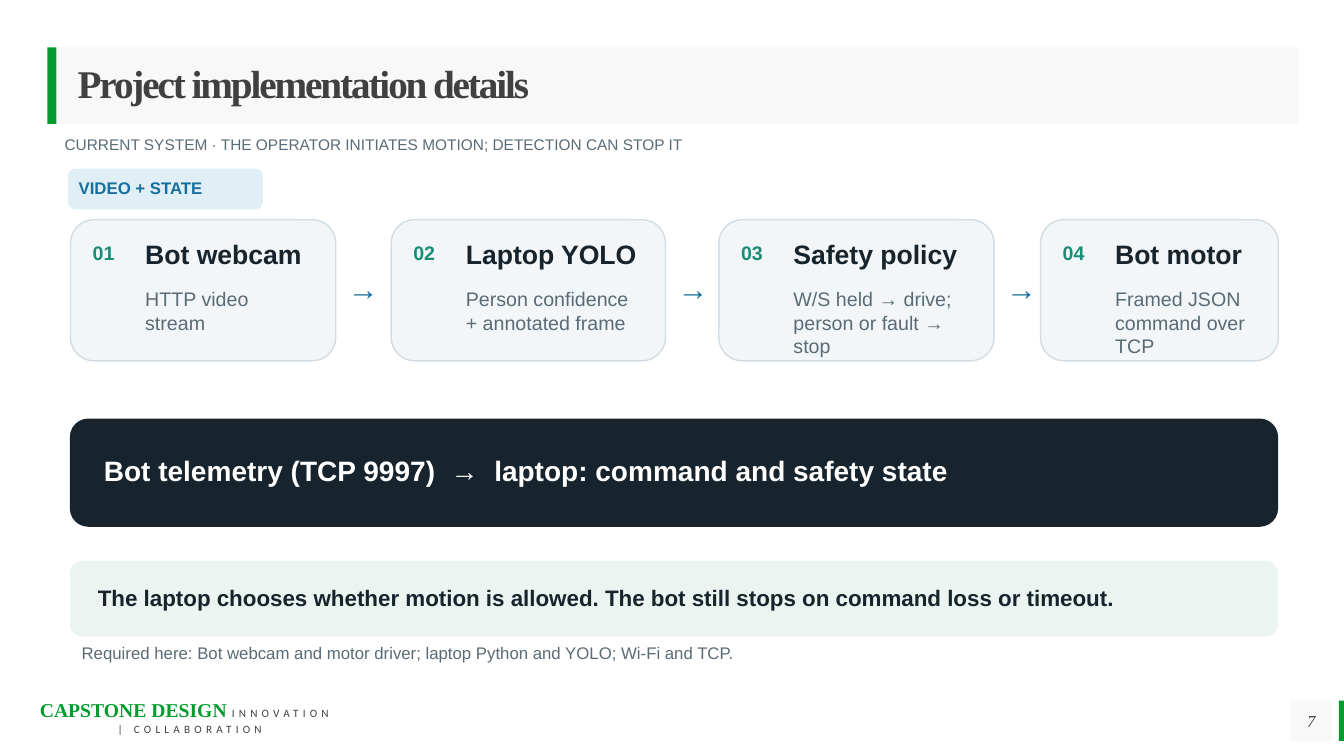
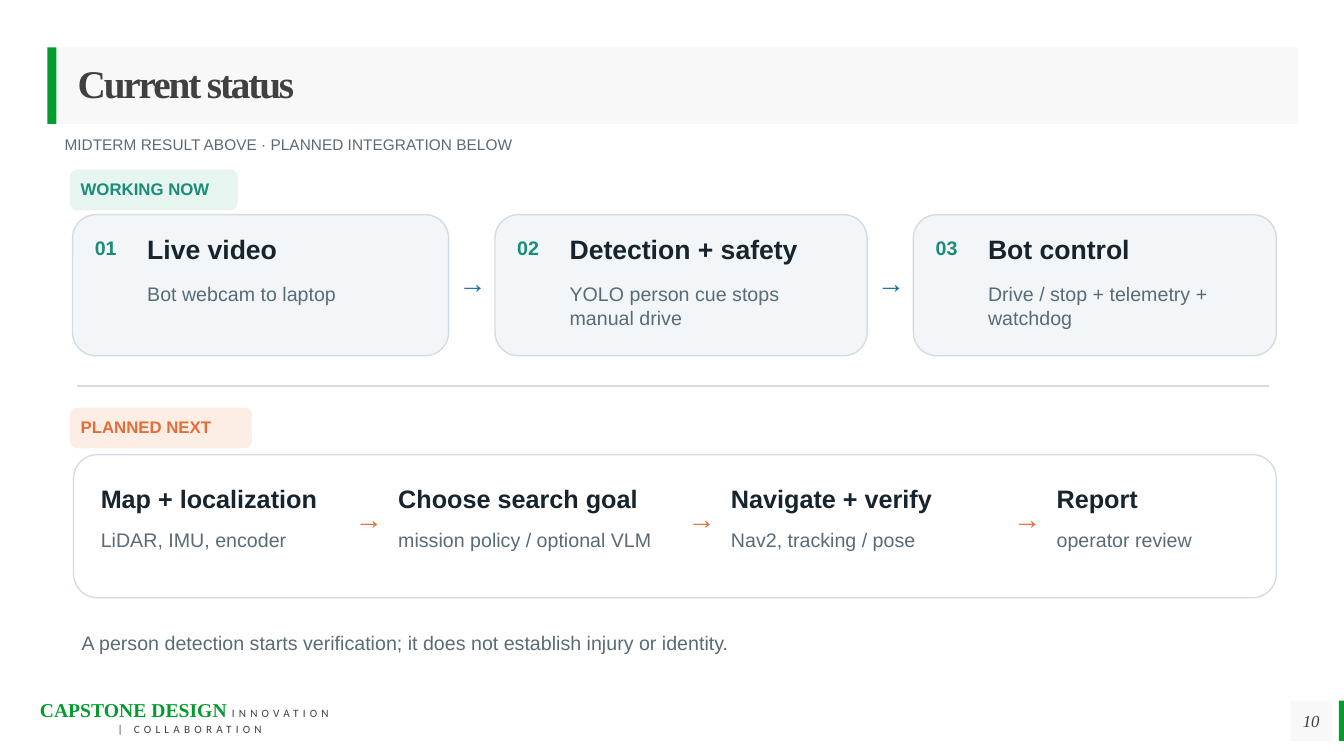
from dataclasses import dataclass

from pptx import Presentation
from pptx.dml.color import RGBColor
from pptx.enum.shapes import MSO_CONNECTOR, MSO_SHAPE
from pptx.enum.text import MSO_ANCHOR, MSO_AUTO_SIZE, PP_ALIGN
from pptx.oxml.ns import qn
from pptx.util import Inches, Pt
from lxml import etree

COLORS = {
    "green": "029B2D", "charcoal": "404040", "band": "F2F2F2", "white": "FFFFFF",
    "ink": "17242D", "slate": "596B76", "border": "D3DCE2", "card": "F2F6F8",
    "teal": "1A8C77", "blue": "186F9E", "orange": "E56C36", "mint": "EBF4F0",
    "pale_teal": "E7F5F0", "pale_blue": "E0EFF6", "pale_orange": "FCEEE5",
}
SANS, SERIF, SMALL_PRINT = "Arial", "Times New Roman", "Calibri"
TEXT_INSET = 0.02


@dataclass(frozen=True)
class Box:
    left: float
    top: float
    width: float
    height: float

    def lengths(self) -> tuple:
        return tuple(Inches(n) for n in (self.left, self.top, self.width, self.height))


@dataclass(frozen=True)
class TextStyle:
    size: float
    color: str
    bold: bool = False
    italic: bool = False
    font: str = SANS
    spacing: float = 0


@dataclass(frozen=True)
class Tag:
    label: str
    box: Box
    color: str
    fill: str


@dataclass(frozen=True)
class Card:
    title: str
    body: str
    left: float
    width: float


@dataclass(frozen=True)
class Step:
    title: str
    caption: str
    left: float
    width: float


SUBTITLE = TextStyle(11, "slate")
CARD_NUMBER = TextStyle(14, "teal", bold=True)
CARD_TITLE = TextStyle(19, "ink", bold=True)
STEP_TITLE = TextStyle(18, "ink", bold=True)
BODY = TextStyle(14, "slate")
TITLE = TextStyle(28, "charcoal", bold=True, font=SERIF, spacing=-1.5)
PAGE_NUMBER = TextStyle(12, "charcoal", italic=True, font=SERIF)
FOOTER_NAME = TextStyle(14, "green", bold=True, font=SERIF)
FOOTER_MOTTO = TextStyle(8, "charcoal", font=SMALL_PRINT, spacing=3)


def rgb(name: str) -> RGBColor:
    return RGBColor.from_string(COLORS[name])


def add_span(para, text: str, style: TextStyle) -> None:
    span = para.add_run()
    span.text = text
    font = span.font
    font.name, font.size = style.font, Pt(style.size)
    font.bold, font.italic = style.bold, style.italic
    font.color.rgb = rgb(style.color)
    if style.spacing:
        span._r.get_or_add_rPr().set("spc", str(int(style.spacing * 100)))


def set_insets(frame, left: float, top: float, right: float, bottom: float) -> None:
    frame.margin_left, frame.margin_top = Inches(left), Inches(top)
    frame.margin_right, frame.margin_bottom = Inches(right), Inches(bottom)


def add_text(page, box: Box, text: str, style: TextStyle) -> None:
    frame = page.shapes.add_textbox(*box.lengths()).text_frame
    frame.word_wrap = True
    frame.auto_size = MSO_AUTO_SIZE.SHAPE_TO_FIT_TEXT
    set_insets(frame, *[TEXT_INSET] * 4)
    add_span(frame.paragraphs[0], text, style)


def fill_band(shape) -> None:
    """Give the shape the half-transparent grey of the title and page number."""
    shape.fill.solid()
    shape.fill.fore_color.rgb = rgb("band")
    color = shape._element.spPr.find(qn("a:solidFill")).find(qn("a:srgbClr"))
    etree.SubElement(color, qn("a:alpha")).set("val", "50000")


def add_bar(page, box: Box):
    bar = page.shapes.add_shape(MSO_SHAPE.RECTANGLE, *box.lengths())
    bar.shadow.inherit = False
    bar.line.fill.background()
    bar.fill.solid()
    bar.fill.fore_color.rgb = rgb("green")
    return bar


def add_panel(page, box: Box, fill: str, line: str = "") -> None:
    panel = page.shapes.add_shape(MSO_SHAPE.ROUNDED_RECTANGLE, *box.lengths())
    panel.shadow.inherit = False
    panel.fill.solid()
    panel.fill.fore_color.rgb = rgb(fill)
    panel.line.color.rgb = rgb(line or fill)
    panel.line.width = Pt(1)


def add_footer(page, number: int) -> None:
    frame = page.shapes.add_textbox(*Box(0.27, 6.9, 3.16, 0.45).lengths()).text_frame
    frame.word_wrap = True
    frame.auto_size = MSO_AUTO_SIZE.SHAPE_TO_FIT_TEXT
    set_insets(frame, 0.1, 0.12, 0.1, 0.05)
    para = frame.paragraphs[0]
    para.alignment, para.line_spacing = PP_ALIGN.CENTER, Pt(10)
    add_span(para, "CAPSTONE DESIGN ", FOOTER_NAME)
    add_span(para, "INNOVATION  | COLLABORATION", FOOTER_MOTTO)

    add_bar(page, Box(13.28, 6.95, 0.05, 0.4))
    number_box = add_bar(page, Box(12.8, 6.95, 0.41, 0.4))
    fill_band(number_box)
    frame = number_box.text_frame
    frame.vertical_anchor = MSO_ANCHOR.MIDDLE
    set_insets(frame, 0, 0, 0, 0)
    frame.paragraphs[0].alignment = PP_ALIGN.CENTER
    add_span(frame.paragraphs[0], str(number), PAGE_NUMBER)


def add_page(deck, title: str, subtitle: str, number: int):
    page = deck.slides.add_slide(deck.slide_layouts.get_by_name("Title Only"))
    heading = page.shapes.title
    heading.left, heading.top, heading.width, heading.height = Box(
        0.57, 0.47, 12.31, 0.76).lengths()
    fill_band(heading)
    frame = heading.text_frame
    frame.auto_size = MSO_AUTO_SIZE.NONE
    frame.vertical_anchor = MSO_ANCHOR.MIDDLE
    set_insets(frame, 0.2, 0, 0, 0)
    para = frame.paragraphs[0]
    para.alignment, para.line_spacing = PP_ALIGN.LEFT, 0.9
    add_span(para, title, TITLE)
    add_bar(page, Box(0.47, 0.47, 0.09, 0.76))
    add_footer(page, number)
    add_text(page, Box(0.62, 1.32, 11.9, 0.24), subtitle, SUBTITLE)
    return page


def add_tag(page, tag: Tag) -> None:
    box = tag.box
    add_panel(page, box, tag.fill)
    add_text(page, Box(box.left + 0.08, box.top + 0.06, box.width - 0.16, 0.27),
             tag.label, TextStyle(12, tag.color, bold=True))


def add_arrow(page, left: float, top: float, color: str, size: int) -> None:
    add_text(page, Box(left, top, 0.36 if size > 20 else 0.3, 0.35), "→",
             TextStyle(size, color, bold=True))


def add_cards(page, cards: list[Card], top: float, arrow_size: int, arrow_gap: float) -> None:
    """Draw numbered cards in a row, with an arrow after each but the last."""
    for number, card in enumerate(cards, start=1):
        left, text_left = card.left, card.left + 0.72
        text_width = card.width - 0.93
        add_panel(page, Box(left, top, card.width, 1.4), "card", "border")
        add_text(page, Box(left + 0.2, top + 0.19, 0.5, 0.29), f"{number:02}", CARD_NUMBER)
        add_text(page, Box(text_left, top + 0.16, text_width, 0.41), card.title, CARD_TITLE)
        add_text(page, Box(text_left, top + 0.65, text_width, 0.63), card.body, BODY)
        if number < len(cards):
            add_arrow(page, left + card.width + arrow_gap, top + 0.48, "blue", arrow_size)


def add_steps(page, steps: list[Step], top: float) -> None:
    """Draw captioned steps in a row, with an arrow before each but the first."""
    for index, step in enumerate(steps):
        if index:
            add_arrow(page, step.left - 0.43, top + 0.19, "orange", 20)
        add_text(page, Box(step.left, top, step.width, 0.39), step.title, STEP_TITLE)
        add_text(page, Box(step.left, top + 0.45, step.width, 0.33), step.caption, BODY)


def add_divider(page, left: float, right: float, top: float) -> None:
    divider = page.shapes.add_connector(
        MSO_CONNECTOR.STRAIGHT, Inches(left), Inches(top), Inches(right), Inches(top))
    divider.line.color.rgb = rgb("border")
    divider.line.width = Pt(1.5)
    etree.SubElement(divider._element.spPr, qn("a:effectLst"))


def build_implementation(deck) -> None:
    page = add_page(deck, "Project implementation details",
                    "CURRENT SYSTEM · THE OPERATOR INITIATES MOTION; DETECTION CAN STOP IT", 7)
    add_tag(page, Tag("VIDEO + STATE", Box(0.68, 1.68, 1.92, 0.39), "blue", "pale_blue"))
    add_cards(page, [
        Card("Bot webcam", "HTTP video stream", 0.7, 2.63),
        Card("Laptop YOLO", "Person confidence + annotated frame", 3.88, 2.72),
        Card("Safety policy", "W/S held → drive; person or fault → stop", 7.13, 2.73),
        Card("Bot motor", "Framed JSON command over TCP", 10.32, 2.36),
    ], top=2.18, arrow_size=22, arrow_gap=0.1)
    add_panel(page, Box(0.7, 4.16, 11.97, 1.06), "ink")
    add_text(page, Box(1.01, 4.48, 11.23, 0.42),
             "Bot telemetry (TCP 9997)  →  laptop: command and safety state",
             TextStyle(20, "white", bold=True))
    add_panel(page, Box(0.7, 5.57, 11.97, 0.74), "mint")
    add_text(page, Box(0.95, 5.78, 11.39, 0.34),
             "The laptop chooses whether motion is allowed. "
             "The bot still stops on command loss or timeout.",
             TextStyle(16, "ink", bold=True))
    add_text(page, Box(0.79, 6.36, 11.8, 0.28),
             "Required here: Bot webcam and motor driver; laptop Python and YOLO; Wi-Fi and TCP.",
             TextStyle(12, "slate"))


def build_status(deck) -> None:
    page = add_page(deck, "Current status",
                    "MIDTERM RESULT ABOVE · PLANNED INTEGRATION BELOW", 10)
    add_tag(page, Tag("WORKING NOW", Box(0.7, 1.69, 1.65, 0.39), "teal", "pale_teal"))
    add_cards(page, [
        Card("Live video", "Bot webcam to laptop", 0.72, 3.73),
        Card("Detection + safety", "YOLO person cue stops manual drive", 4.91, 3.69),
        Card("Bot control", "Drive / stop + telemetry + watchdog", 9.06, 3.6),
    ], top=2.13, arrow_size=20, arrow_gap=0.08)
    add_divider(page, 0.76, 12.59, 3.83)
    add_tag(page, Tag("PLANNED NEXT", Box(0.7, 4.05, 1.79, 0.39), "orange", "pale_orange"))
    add_panel(page, Box(0.73, 4.51, 11.93, 1.42), "white", "border")
    add_steps(page, [
        Step("Map + localization", "LiDAR, IMU, encoder", 0.98, 2.5),
        Step("Choose search goal", "mission policy / optional VLM", 3.93, 2.73),
        Step("Navigate + verify", "Nav2, tracking / pose", 7.23, 2.7),
        Step("Report", "operator review", 10.46, 1.9),
    ], top=4.77)
    add_text(page, Box(0.79, 6.24, 11.8, 0.33),
             "A person detection starts verification; it does not establish injury or identity.",
             BODY)


def main() -> None:
    deck = Presentation()
    deck.slide_width, deck.slide_height = Inches(13.33), Inches(7.5)
    build_implementation(deck)
    build_status(deck)
    deck.save("out.pptx")


if __name__ == "__main__":
    main()
